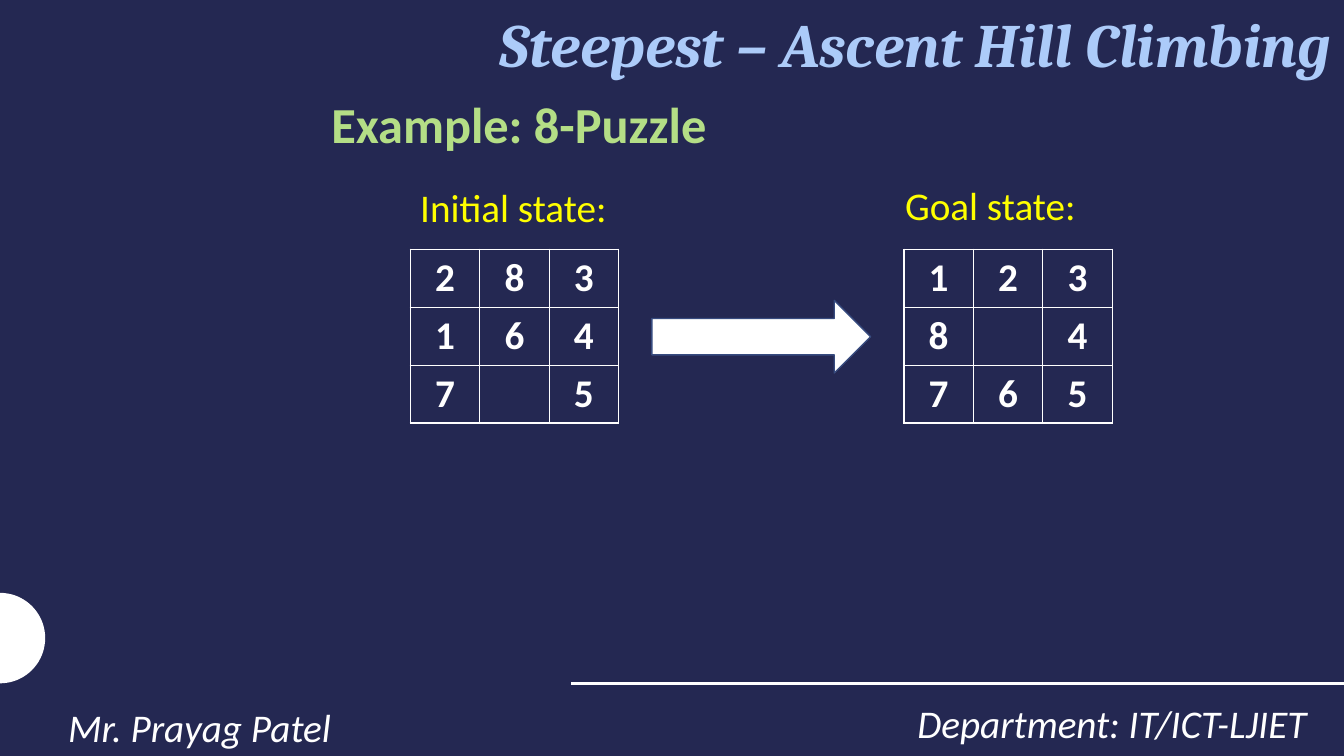
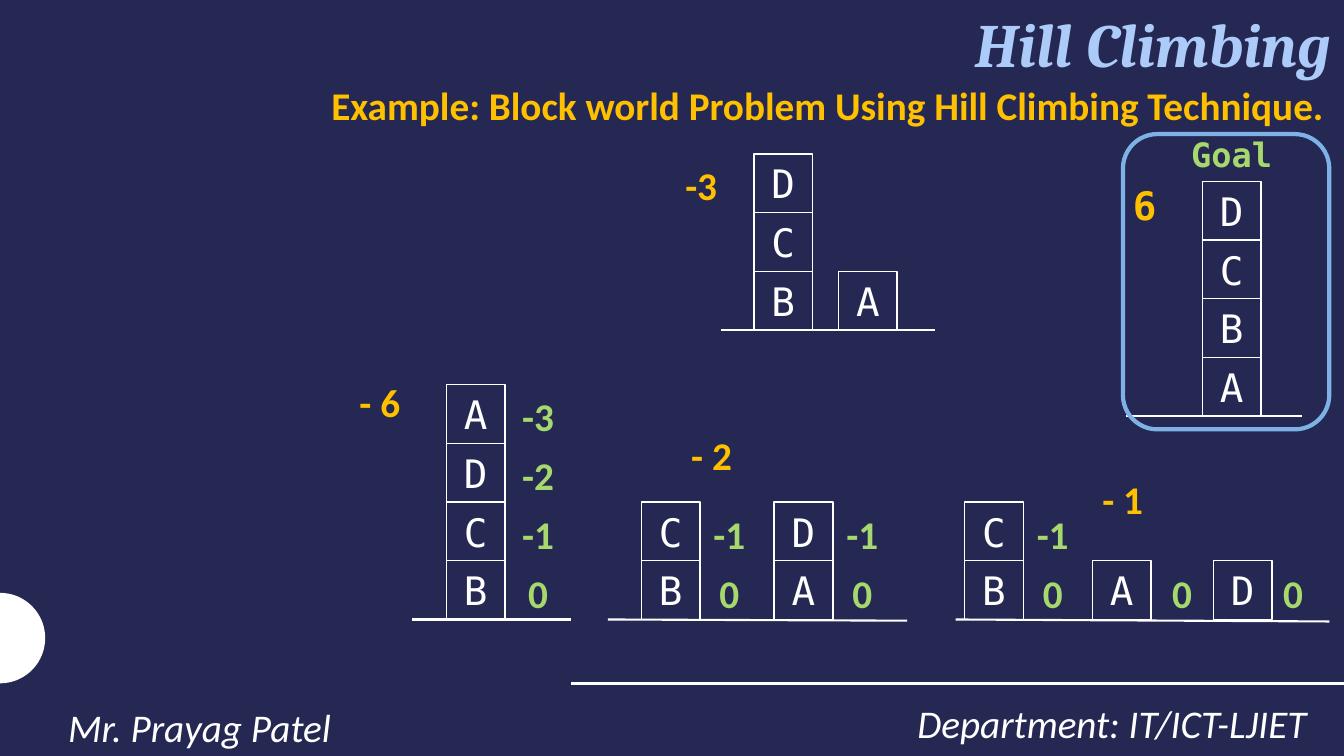
from dataclasses import dataclass
from math import cos, pi, sin

from lxml.etree import SubElement
from pptx import Presentation
from pptx.dml.color import RGBColor
from pptx.enum.shapes import MSO_CONNECTOR, MSO_SHAPE
from pptx.enum.text import MSO_ANCHOR, PP_ALIGN
from pptx.oxml.ns import qn
from pptx.util import Cm, Pt

SANS, SERIF, MONO = "Calibri", "Cambria", "DejaVu Sans Mono"


def style(name, size, color, **flags):
    return {"name": name, "size": Pt(size), "color": color, **flags}


@dataclass(frozen=True)
class Theme:
    navy = "242852"
    white = "FFFFFF"
    sky = "7EB2E6"
    arrow_edge = "374B7F"
    title = style(SERIF, 44, "ACCBF9", bold=True, italic=True)
    footer = style(SANS, 28, white, italic=True)
    heading = style(SANS, 36, "B4DE86", bold=True)
    subheading = style(SANS, 28, "FFC000", bold=True)
    state = style(SANS, 28, "FFFF00")
    tile = style(SANS, 28, white, bold=True)
    block = style(MONO, 28, white)
    score = style(SANS, 28, "A6D86E", bold=True)
    total = subheading
    goal_total = style(MONO, 28, "FFC000", bold=True)
    goal = style(MONO, 24, "A6D86E", bold=True)


T = Theme()
SLIDE_W, SLIDE_H = 33.87, 19.05
SIDE = 1.48
TILE_W, TILE_H = 1.75, 1.46
FLOOR_Y = 17.22


def rgb(color):
    return RGBColor.from_string(color)


def write(tf, text, fmt, align=PP_ALIGN.LEFT, spacing=None):
    p = tf.paragraphs[0]
    p.alignment = align
    if spacing:
        p.line_spacing = spacing
    r = p.add_run()
    r.text = text
    for key, value in fmt.items():
        if key == "color":
            r.font.color.rgb = rgb(value)
        else:
            setattr(r.font, key, value)


def label(s, box, text, fmt, align=PP_ALIGN.LEFT, spacing=None, **frame):
    """Add wrapped text; frame holds text frame attributes to set."""
    tf = s.shapes.add_textbox(*map(Cm, box)).text_frame
    for key, value in {"word_wrap": True, **frame}.items():
        setattr(tf, key, value)
    write(tf, text, fmt, align, spacing)


def outline(sp, color, width, fill=None):
    sp.shadow.inherit = False
    if fill:
        sp.fill.solid()
        sp.fill.fore_color.rgb = rgb(fill)
    else:
        sp.fill.background()
    sp.line.color.rgb = rgb(color)
    sp.line.width = Pt(width)


def rule(s, x1, y1, x2, y2, width):
    line = s.shapes.add_connector(MSO_CONNECTOR.STRAIGHT, *map(Cm, (x1, y1, x2, y2)))
    line.line.color.rgb = rgb(T.white)
    line.line.width = Pt(width)
    SubElement(line._element.spPr, qn("a:effectLst"))


def half_disc(s, top, radius):
    """Add a half disc that grows out of the left edge of the slide."""
    steps = 40
    points = [(Cm(radius * sin(pi * i / steps)),
               Cm(top + radius - radius * cos(pi * i / steps)))
              for i in range(steps + 1)]
    builder = s.shapes.build_freeform(*points[0])
    builder.add_line_segments(points[1:], close=True)
    sp = builder.convert_to_shape()
    outline(sp, T.white, 0, T.white)
    sp.line.fill.background()


def base_slide(prs, title):
    s = prs.slides.add_slide(prs.slide_layouts[6])
    s.background.fill.solid()
    s.background.fill.fore_color.rgb = rgb(T.navy)
    half_disc(s, 14.94, 1.14)
    rule(s, 14.4, FLOOR_Y, SLIDE_W, FLOOR_Y, 2)
    label(s, (20.52, 17.32, 13, 1.6), "Department: IT/ICT-LJIET", T.footer,
          PP_ALIGN.RIGHT, 1.14, margin_right=Cm(0.59))
    label(s, (1.47, 17.42, 18, 1.6), "Mr. Prayag Patel", T.footer, spacing=1.14)
    label(s, (5.72, 0.03, 28.09, 2.82), title, T.title, PP_ALIGN.RIGHT)
    return s


def border(cell):
    tc_pr = cell._tc.get_or_add_tcPr()
    for i, side in enumerate(("lnL", "lnR", "lnT", "lnB")):
        ln = tc_pr.makeelement(qn(f"a:{side}"), {"w": str(Pt(1))})
        fill = SubElement(ln, qn("a:solidFill"))
        SubElement(fill, qn("a:srgbClr"), val=T.white)
        tc_pr.insert(i, ln)


def puzzle(s, left, top, rows):
    """Add a grid of tiles, one string a row; a space is the empty tile."""
    n = len(rows)
    table = s.shapes.add_table(n, n, Cm(left), Cm(top),
                               Cm(n * TILE_W), Cm(n * TILE_H)).table
    table.first_row = table.horz_banding = False
    for i, row in enumerate(rows):
        table.rows[i].height = Cm(TILE_H)
        table.columns[i].width = Cm(TILE_W)
        for j, tile in enumerate(row):
            cell = table.cell(i, j)
            cell.fill.background()
            border(cell)
            if tile.strip():
                write(cell.text_frame, tile, T.tile, PP_ALIGN.CENTER)


def block(s, left, top, letter):
    sp = s.shapes.add_shape(MSO_SHAPE.RECTANGLE, *map(Cm, (left, top, SIDE, SIDE)))
    outline(sp, T.white, 1)
    tf = sp.text_frame
    tf.margin_left = tf.margin_right = 0
    tf.vertical_anchor = MSO_ANCHOR.MIDDLE
    write(tf, letter, T.block, PP_ALIGN.CENTER)


def stack(s, left, base, letters, scores=(), score_dx=SIDE):
    """Pile blocks from the bottom up, with their scores to the right."""
    for i, letter in enumerate(letters, 1):
        block(s, left, base - i * SIDE, letter)
    for i, score in enumerate(scores, 1):
        label(s, (left + score_dx, base - i * SIDE + 0.06, SIDE, SIDE), score,
              T.score, PP_ALIGN.CENTER, margin_left=0, margin_right=0,
              vertical_anchor=MSO_ANCHOR.MIDDLE)


def block_world(s, left, base, width, stacks, total, drop=0, total_fmt=T.total):
    """Draw a ground line, its stacks and total, placed from the line's left end."""
    rule(s, left, base, left + width, base + drop, 1.5)
    for dx, *pile in stacks:
        stack(s, left + dx, base, *pile)
    dx, rise, text = total
    label(s, (left + dx, base - rise, 1.7, 1.45), text, total_fmt)


def goal_panel(s, left, top, width, height):
    label(s, (left + 1.47, top - 0.13, 2.6, 1.27), "Goal", T.goal)
    block_world(s, left + 0.07, top + 7.11, 4.45, [(1.93, "ABCD")],
                (-0.07, 6.05, "6"), total_fmt=T.goal_total)
    frame = s.shapes.add_shape(MSO_SHAPE.ROUNDED_RECTANGLE,
                               *map(Cm, (left, top, width, height)))
    outline(frame, T.sky, 3)


def puzzle_slide(prs):
    s = base_slide(prs, "Steepest – Ascent Hill Climbing")
    label(s, (8.1, 2.21, 10.06, 1.8), "Example: 8-Puzzle", T.heading)
    label(s, (10.34, 4.5, 6.25, 1.45), "Initial state:", T.state)
    label(s, (22.56, 4.45, 6.25, 1.45), "Goal state:", T.state)
    puzzle(s, 10.34, 6.28, ("283", "164", "7 5"))
    puzzle(s, 22.78, 6.28, ("123", "8 4", "765"))
    arrow = s.shapes.add_shape(MSO_SHAPE.RIGHT_ARROW,
                               *map(Cm, (16.43, 7.57, 5.51, 1.83)))
    outline(arrow, T.arrow_edge, 1, T.white)


def blocks_slide(prs):
    s = base_slide(prs, "Hill Climbing")
    label(s, (8.1, 1.93, 25.73, 1.45),
          "Example: Block world Problem Using Hill Climbing Technique.",
          T.subheading, PP_ALIGN.JUSTIFY)
    block_world(s, 18.16, 8.32, 5.41, [(0.84, "BCD"), (2.97, "A")],
                (-1.14, 4.38, "-3"))
    goal_panel(s, 28.3, 3.38, 5.2, 7.44)
    ground = 15.61
    pair = ("0", "-1")
    block_world(s, 10.39, ground, 4.01,
                [(0.86, "BCDA", ("0", "-1", "-2", "-3"), 1.57)],
                (-1.58, 6.21, "- 6"))
    block_world(s, 15.32, ground, 7.54,
                [(0.84, "BC", pair), (4.19, "AD", pair)],
                (1.85, 4.87, "- 2"), drop=0.03)
    block_world(s, 24.08, ground, 9.42,
                [(0.23, "BC", pair), (3.45, "A", "0", 1.52), (6.5, "D", "0", 1.27)],
                (3.45, 3.77, "- 1"), drop=0.05)


def main():
    prs = Presentation()
    prs.slide_width, prs.slide_height = Cm(SLIDE_W), Cm(SLIDE_H)
    puzzle_slide(prs)
    blocks_slide(prs)
    prs.save("out.pptx")


if __name__ == "__main__":
    main()
